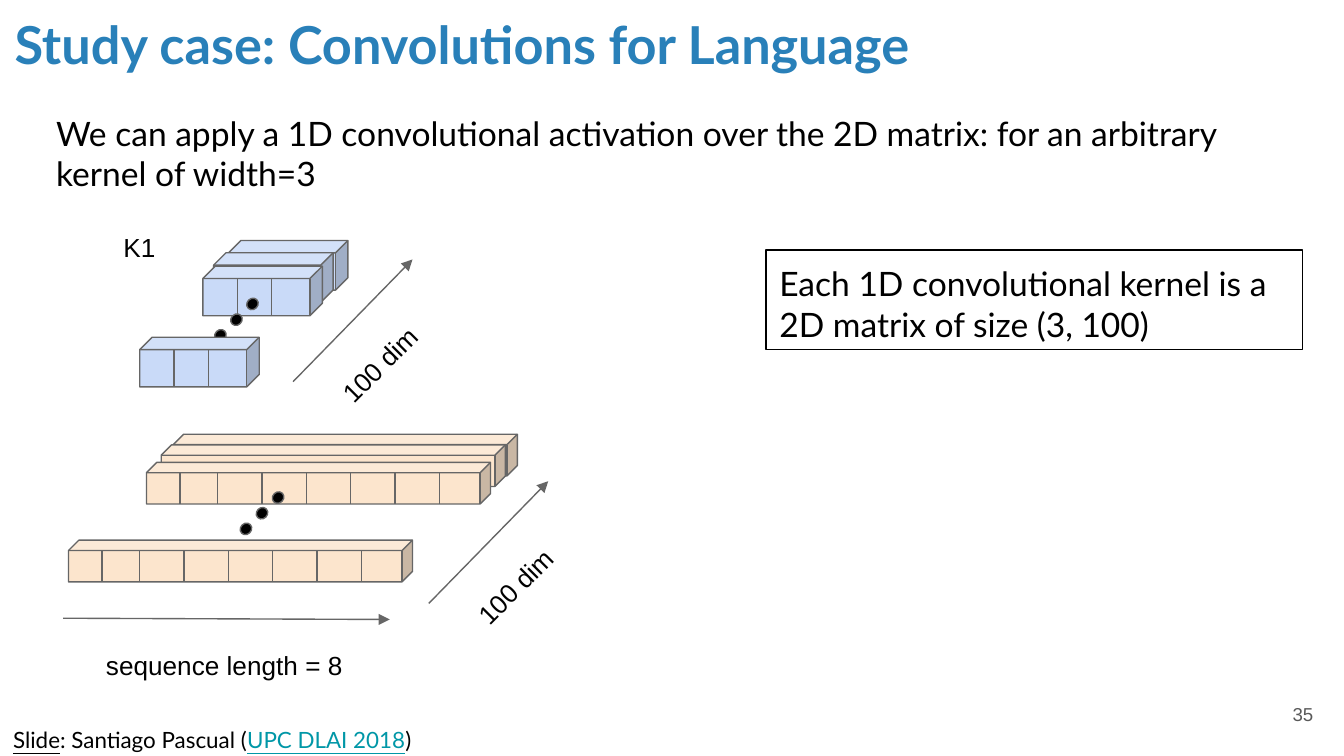
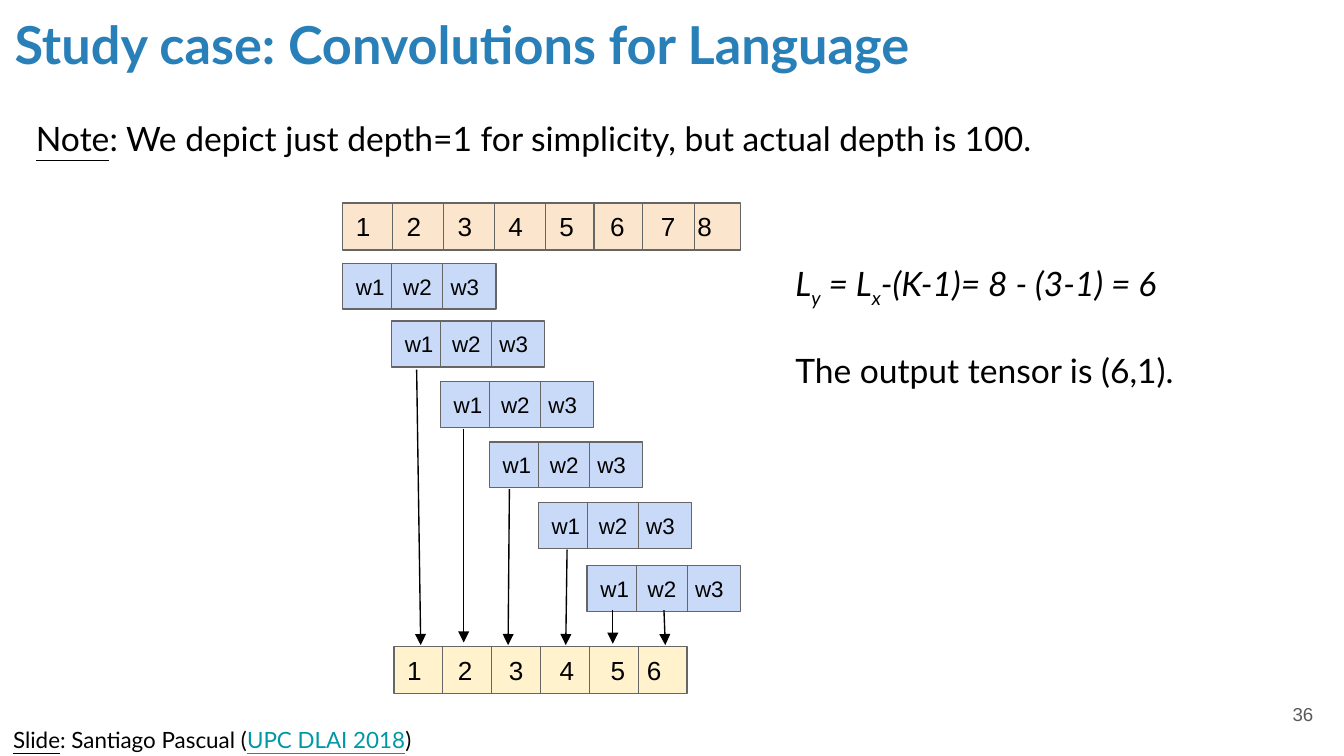
"""Build two slides on one-dimensional convolutions for language."""
from dataclasses import dataclass, replace

from lxml import etree
from pptx import Presentation
from pptx import util as u
from pptx.dml.color import RGBColor
from pptx.enum import shapes, text
from pptx.oxml.ns import qn


@dataclass(frozen=True)
class Ink:
    size: float
    font: str = "Lato"
    color: str = "000000"
    bold: bool = False
    italic: bool = False
    underline: bool = False
    baseline: int = 0


@dataclass(frozen=True)
class Theme:
    title: Ink = Ink(28, color="2980B9", bold=True)
    body: Ink = Ink(18)
    credit: Ink = Ink(12)
    label: Ink = Ink(14, "Arial")
    weight: Ink = Ink(12, "Arial")
    number: Ink = Ink(10, "Arial", "595959")
    link: str = "0097A7"
    word: str = "FCE5CD"
    kernel: str = "C9DAF8"
    output: str = "FFF2CC"
    edge: str = "666666"
    black: str = "000000"
    stroke: float = 0.75
    inset: float = 7.2


THEME = Theme()
KERNEL_SIZE = (64, 26.6)
KERNEL_CUTS = (18.4, 36.7)
WORDS_SIZE = (184.3, 22.3)
WORDS_CUTS = (18, *(38 + 23.8 * i for i in range(6)))
CELL = 26.2


def write(frame, paragraphs, anchor=text.MSO_ANCHOR.TOP,
          align=text.PP_ALIGN.LEFT, gap=0, tabs=()):
    frame.word_wrap = True
    frame.vertical_anchor = anchor
    for side in ("left", "top", "right", "bottom"):
        setattr(frame, f"margin_{side}", u.Pt(THEME.inset))
    for index, runs in enumerate(paragraphs):
        paragraph = frame.add_paragraph() if index else frame.paragraphs[0]
        paragraph.alignment = align
        if index and gap:
            paragraph.space_before = u.Pt(gap)
        if tabs:
            stops = etree.SubElement(paragraph._p.get_or_add_pPr(), qn("a:tabLst"))
            for stop in tabs:
                etree.SubElement(stops, qn("a:tab"), pos=str(u.Pt(stop)), algn="l")
        for words, ink in runs:
            add_run(paragraph, words, ink)


def add_run(paragraph, words, ink):
    run = paragraph.add_run()
    run.text = words
    font = run.font
    font.size, font.name = u.Pt(ink.size), ink.font
    font.bold, font.italic, font.underline = ink.bold, ink.italic, ink.underline
    font.color.rgb = RGBColor.from_string(ink.color)
    if ink.baseline:
        run._r.get_or_add_rPr().set("baseline", str(ink.baseline * 1000))


def add_text(slide, box, paragraphs, turn=0, **layout):
    caption = slide.shapes.add_textbox(*map(u.Pt, box))
    caption.rotation = turn
    write(caption.text_frame, paragraphs, **layout)


def add_solid(slide, kind, box, fill=None, edge=THEME.edge):
    solid = slide.shapes.add_shape(kind, *map(u.Pt, box))
    solid.shadow.inherit = False
    if fill:
        solid.fill.solid()
        solid.fill.fore_color.rgb = RGBColor.from_string(fill)
    else:
        solid.fill.background()
    solid.line.color.rgb = RGBColor.from_string(edge)
    solid.line.width = u.Pt(THEME.stroke)
    return solid


def add_line(slide, start, end, color=THEME.edge, arrow=False):
    line = slide.shapes.add_connector(
        shapes.MSO_CONNECTOR.STRAIGHT, *map(u.Pt, (*start, *end)))
    line.line.color.rgb = RGBColor.from_string(color)
    line.line.width = u.Pt(THEME.stroke)
    properties = line._element.spPr
    if arrow:
        etree.SubElement(properties.find(qn("a:ln")), qn("a:tailEnd"), type="triangle")
    etree.SubElement(properties, qn("a:effectLst"))


def add_cuts(slide, left, top, bottom, offsets):
    for offset in offsets:
        add_line(slide, (left + offset, top), (left + offset, bottom))


def add_prism(slide, left, top, size, fill, cuts=()):
    height = size[1]
    add_solid(slide, shapes.MSO_SHAPE.CUBE, (left, top, *size), fill)
    add_cuts(slide, left, top + height / 4, top + height, cuts)


def add_dots(slide, left, top):
    for i in range(3):
        dot = add_solid(slide, shapes.MSO_SHAPE.OVAL,
                        (left + 8.6 * i, top - 8.4 * i, 5.8, 6.5), THEME.black)
        dot.rotation = 225


def add_depth_axis(slide, x, y):
    add_line(slide, (x, y), (x + 64, y - 65.5), arrow=True)
    add_text(slide, (x + 11.5, y - 26.7, 71.3, 26.6),
             [[("100 dim", THEME.label)]], turn=315)


def add_strip(slide, box, fill, labels, ink, tabs, cuts):
    left, top, _, height = box
    strip = add_solid(slide, shapes.MSO_SHAPE.RECTANGLE, box, fill)
    write(strip.text_frame, [[("\t".join(labels), ink)]],
          anchor=text.MSO_ANCHOR.MIDDLE, tabs=tabs)
    add_cuts(slide, left, top, top + height, cuts)


def add_page(deck, number):
    slide = deck.slides.add_slide(deck.slide_layouts[6])
    credit = THEME.credit
    add_text(slide, (0.7, -0.7, 671, 45.4),
             [[("Study case: Convolutions for Language", THEME.title)]])
    add_text(slide, (667.4, 367.2, 43.2, 31), [[(str(number), THEME.number)]],
             anchor=text.MSO_ANCHOR.MIDDLE, align=text.PP_ALIGN.RIGHT)
    add_text(slide, (0, 381.6, 660.2, 27.4), [[
        ("Slide", replace(credit, underline=True)),
        (": Santiago Pascual (", credit),
        ("UPC DLAI 2018", replace(credit, color=THEME.link, underline=True)),
        (")", credit)]])
    return slide


def draw_kernel_depth(slide):
    add_text(slide, (23, 53.3, 686.2, 56.9), [[(
        "We can apply a 1D convolutional activation over the 2D matrix: "
        "for an arbitrary kernel of width=3", THEME.body)]])

    for left, top, cuts in ((92.9, 232.6, ()), (86.4, 238.3, ()),
                            (36.7, 289.4, WORDS_CUTS), (78.5, 247.7, WORDS_CUTS)):
        add_prism(slide, left, top, WORDS_SIZE, THEME.word, cuts)
    add_dots(slide, 128.9, 280.1)
    add_depth_axis(slide, 229.7, 323.3)
    add_line(slide, (33.8, 331.2), (208.8, 331.9), arrow=True)
    add_text(slide, (49.7, 340.6, 144, 26.6), [[("sequence length = 8", THEME.label)]])

    add_text(slide, (59, 116.6, 56.2, 26.6), [[("K1", THEME.label)]])
    for left, top in ((122.4, 128.9), (114.5, 135.4), (108.7, 142.6)):
        add_prism(slide, left, top, KERNEL_SIZE, THEME.kernel, KERNEL_CUTS)
    add_dots(slide, 115.2, 176.4)
    add_prism(slide, 74.9, 180.7, KERNEL_SIZE, THEME.kernel, KERNEL_CUTS)
    add_depth_axis(slide, 157, 204.5)

    callout = add_solid(slide, shapes.MSO_SHAPE.RECTANGLE,
                        (410.4, 133.9, 287.3, 53.3), edge=THEME.black)
    write(callout.text_frame, [[(
        "Each 1D convolutional kernel is a 2D matrix of size (3, 100)", THEME.body)]])


def draw_sliding_kernel(slide):
    body = THEME.body
    add_text(slide, (12.2, 56.2, 662.4, 46.8), [[
        ("Note", replace(body, underline=True)),
        (": We depict just depth=1 for simplicity, but actual depth is 100.", body)]])

    add_strip(slide, (183.6, 108.7, 213.1, 25.2), THEME.word, "12345678", THEME.label,
              [27.24 * i for i in range(1, 7)] + [182.9],
              (26.6, 54, 81.4, 108.7, 134.6, 160.6, 188.6))
    for step, top in enumerate((141.1, 172.1, 204.5, 236.9, 269.3, 303.1)):
        add_strip(slide, (183.6 + CELL * step, top, 82.1, 24.5), THEME.kernel,
                  ("w1", "w2", "w3"), THEME.weight, (25.35, 50.7), (26.3, 53.6))
    add_strip(slide, (211, 346.3, 157, 25.2), THEME.output, "123456", THEME.label,
              [27.24 * i for i in range(1, 5)] + [128.4],
              [CELL * i for i in range(1, 6)])

    for start, end in (((223.2, 198), (225.4, 345.6)),
                       ((248.4, 229.7), (248.4, 344.2)),
                       ((272.9, 262.1), (272.2, 345.6)),
                       ((303.8, 294.5), (303.1, 345.6)),
                       ((328.3, 326.9), (328.3, 344.9)),
                       ((355.7, 326.9), (356.4, 345.6))):
        add_line(slide, start, end, THEME.black, arrow=True)

    formula = replace(body, italic=True)
    subscript = replace(formula, baseline=-25)
    add_text(slide, (419, 133.9, 296.6, 122.4), [
        [("L", formula), ("y", subscript), (" = L", formula), ("x", subscript),
         ("-(K-1)= 8 - (3-1) = 6", formula)],
        [("The output tensor is (6,1).", body)]], gap=22)


def main():
    deck = Presentation()
    deck.slide_width, deck.slide_height = u.Pt(720), u.Pt(405)
    draw_kernel_depth(add_page(deck, 35))
    draw_sliding_kernel(add_page(deck, 36))
    deck.save("out.pptx")


if __name__ == "__main__":
    main()
